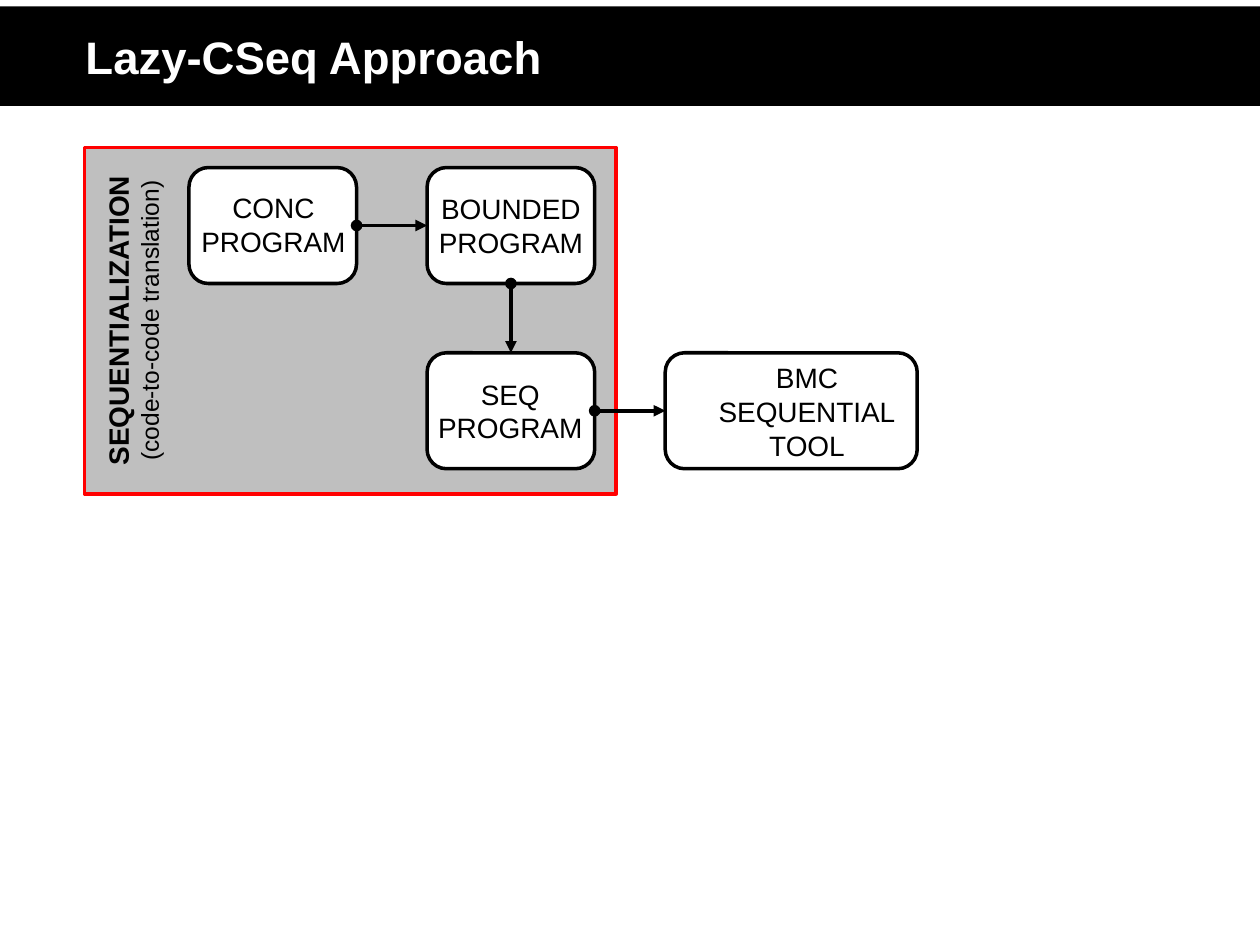
"""Build the Lazy-CSeq approach slide."""
from lxml import etree
from pptx import Presentation
from pptx.dml.color import RGBColor
from pptx.enum.shapes import MSO_CONNECTOR, MSO_SHAPE
from pptx.enum.text import MSO_ANCHOR, PP_ALIGN
from pptx.oxml.ns import qn
from pptx.util import Inches, Pt

BLACK = RGBColor(0x00, 0x00, 0x00)
WHITE = RGBColor(0xFF, 0xFF, 0xFF)
GRAY = RGBColor(0xBF, 0xBF, 0xBF)
RED = RGBColor(0xFF, 0x00, 0x00)
RECTANGLE = MSO_SHAPE.RECTANGLE
ROUNDED = MSO_SHAPE.ROUNDED_RECTANGLE
STRAIGHT = MSO_CONNECTOR.STRAIGHT
MIDDLE = MSO_ANCHOR.MIDDLE
LEFT, CENTER = PP_ALIGN.LEFT, PP_ALIGN.CENTER
TOP_SIDE, LEFT_SIDE, BOTTOM_SIDE, RIGHT_SIDE = range(4)


class DiagramSlide:
    font_name = "Arial"
    text_size = 16
    box_width, box_height = 1.33, 0.92

    def __init__(self, slide):
        self.slide = slide

    def panel(self, left, top, width, height, fill, line=None, kind=RECTANGLE):
        shape = self.slide.shapes.add_shape(
            kind, Inches(left), Inches(top), Inches(width), Inches(height))
        shape.shadow.inherit = False
        shape.fill.solid()
        shape.fill.fore_color.rgb = fill
        if line is None:
            shape.line.fill.background()
        else:
            shape.line.color.rgb = line
            shape.line.width = Pt(2)
        return shape

    def box(self, left, top, width=box_width):
        return self.panel(left, top, width, self.box_height, WHITE, BLACK, ROUNDED)

    def label(self, left, top, width, height, text, size=text_size,
              color=BLACK, bold=False, alignment=CENTER):
        shape = self.slide.shapes.add_textbox(
            Inches(left), Inches(top), Inches(width), Inches(height))
        frame = shape.text_frame
        frame.word_wrap = True
        frame.vertical_anchor = MIDDLE
        frame.text = text
        for paragraph in frame.paragraphs:
            paragraph.alignment = alignment
            for run in paragraph.runs:
                run.font.name = self.font_name
                run.font.size = Pt(size)
                run.font.bold = bold
                run.font.color.rgb = color
        return shape

    def arrow(self, source, source_side, target, target_side):
        connector = self.slide.shapes.add_connector(STRAIGHT, 0, 0, 0, 0)
        connector.begin_connect(source, source_side)
        connector.end_connect(target, target_side)
        connector.line.color.rgb = BLACK
        connector.line.width = Pt(2.25)
        line = connector.line._get_or_add_ln()
        etree.SubElement(line, qn("a:headEnd"), type="oval")
        etree.SubElement(line, qn("a:tailEnd"), type="triangle")
        etree.SubElement(connector._element.spPr, qn("a:effectLst"))


def main():
    presentation = Presentation()
    presentation.slide_width, presentation.slide_height = Inches(10), Inches(7.5)
    diagram = DiagramSlide(
        presentation.slides.add_slide(presentation.slide_layouts[6]))

    diagram.panel(0, 0.05, 10, 0.79, BLACK)
    diagram.label(0.58, 0.05, 9.42, 0.79, "Lazy-CSeq Approach",
                  size=26, color=WHITE, bold=True, alignment=LEFT)

    diagram.panel(0.67, 1.17, 4.22, 2.75, GRAY, RED)
    heading = diagram.label(-0.24, 2.24, 2.58, 0.61,
                            "SEQUENTIALIZATION\n(code-to-code translation)")
    heading.rotation = 270
    name, note = heading.text_frame.paragraphs
    name.runs[0].font.bold = True
    note.runs[0].font.size = Pt(14)

    upper, lower, column = 1.33, 2.8, 3.39
    concurrent = diagram.box(1.5, upper)
    bounded = diagram.box(column, upper)
    sequential = diagram.box(column, lower)
    tool = diagram.box(5.28, lower, width=2)

    diagram.label(1.41, 1.46, 1.52, 0.64, "CONC\nPROGRAM")
    diagram.label(3.34, 1.47, 1.43, 0.64, "BOUNDED\nPROGRAM")
    diagram.label(3.3, 2.94, 1.5, 0.64, "SEQ\nPROGRAM")
    diagram.label(5.53, 2.81, 1.75, 0.91, "BMC SEQUENTIAL\nTOOL")

    diagram.arrow(concurrent, RIGHT_SIDE, bounded, LEFT_SIDE)
    diagram.arrow(bounded, BOTTOM_SIDE, sequential, TOP_SIDE)
    diagram.arrow(sequential, RIGHT_SIDE, tool, LEFT_SIDE)

    presentation.save("out.pptx")


if __name__ == "__main__":
    main()
